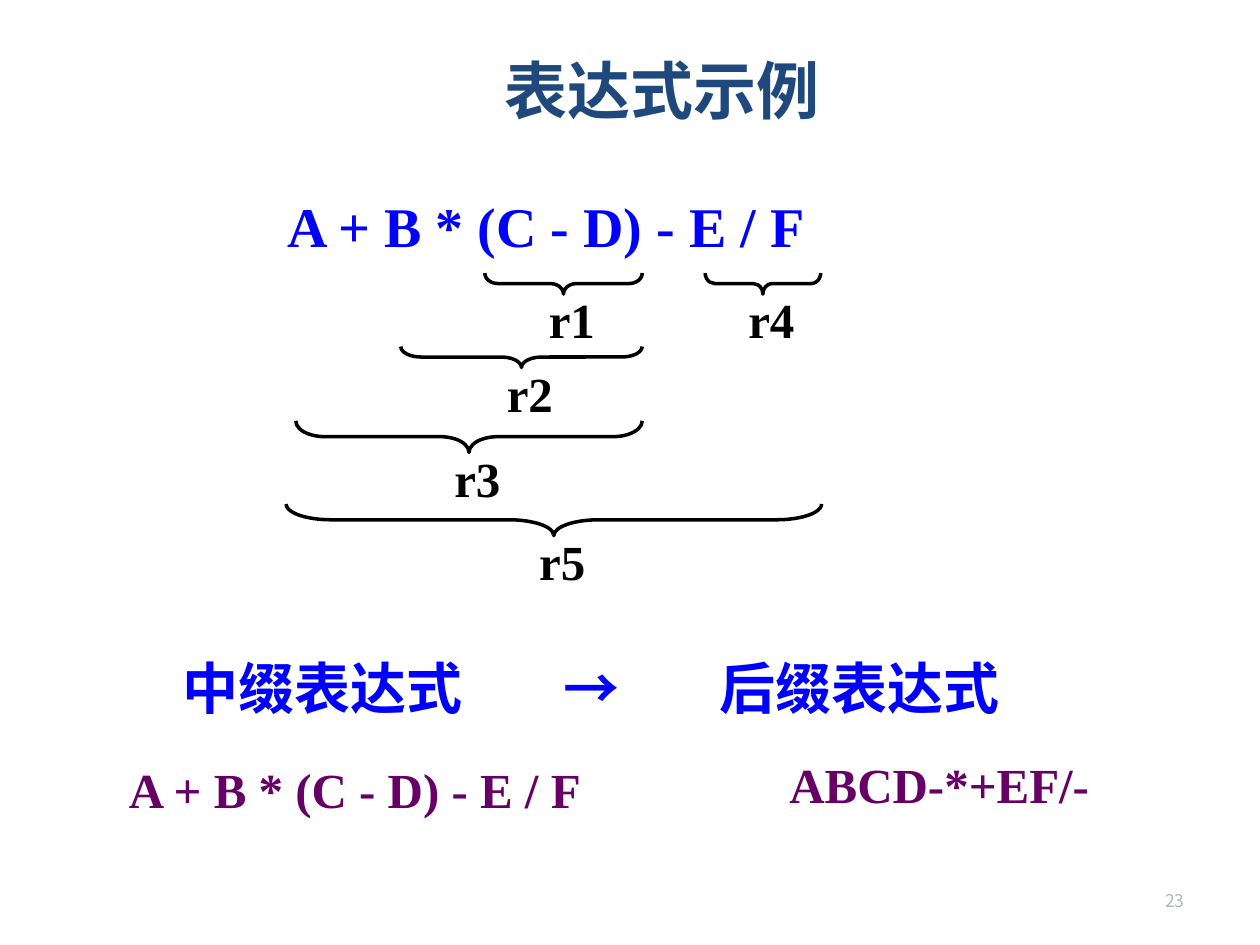
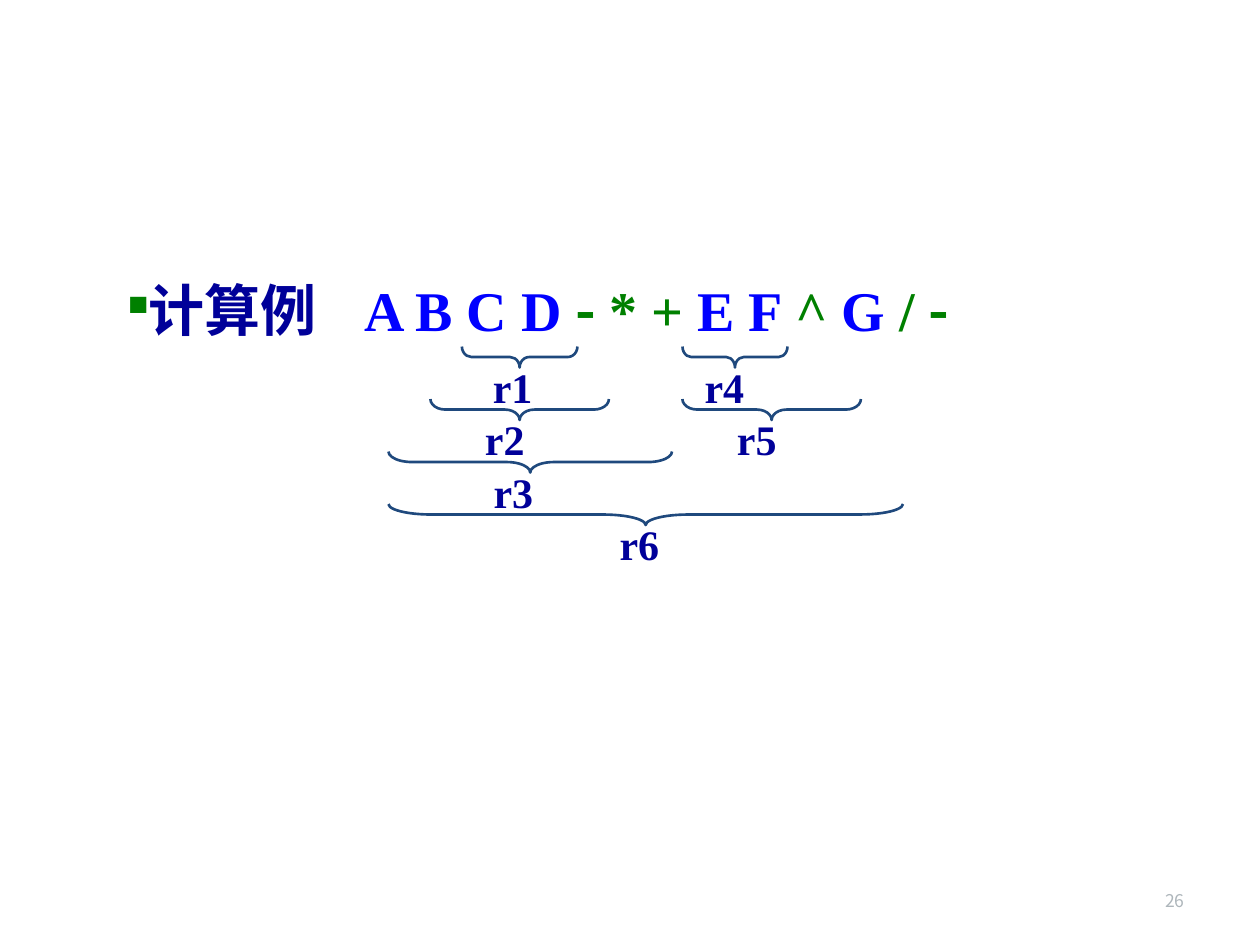
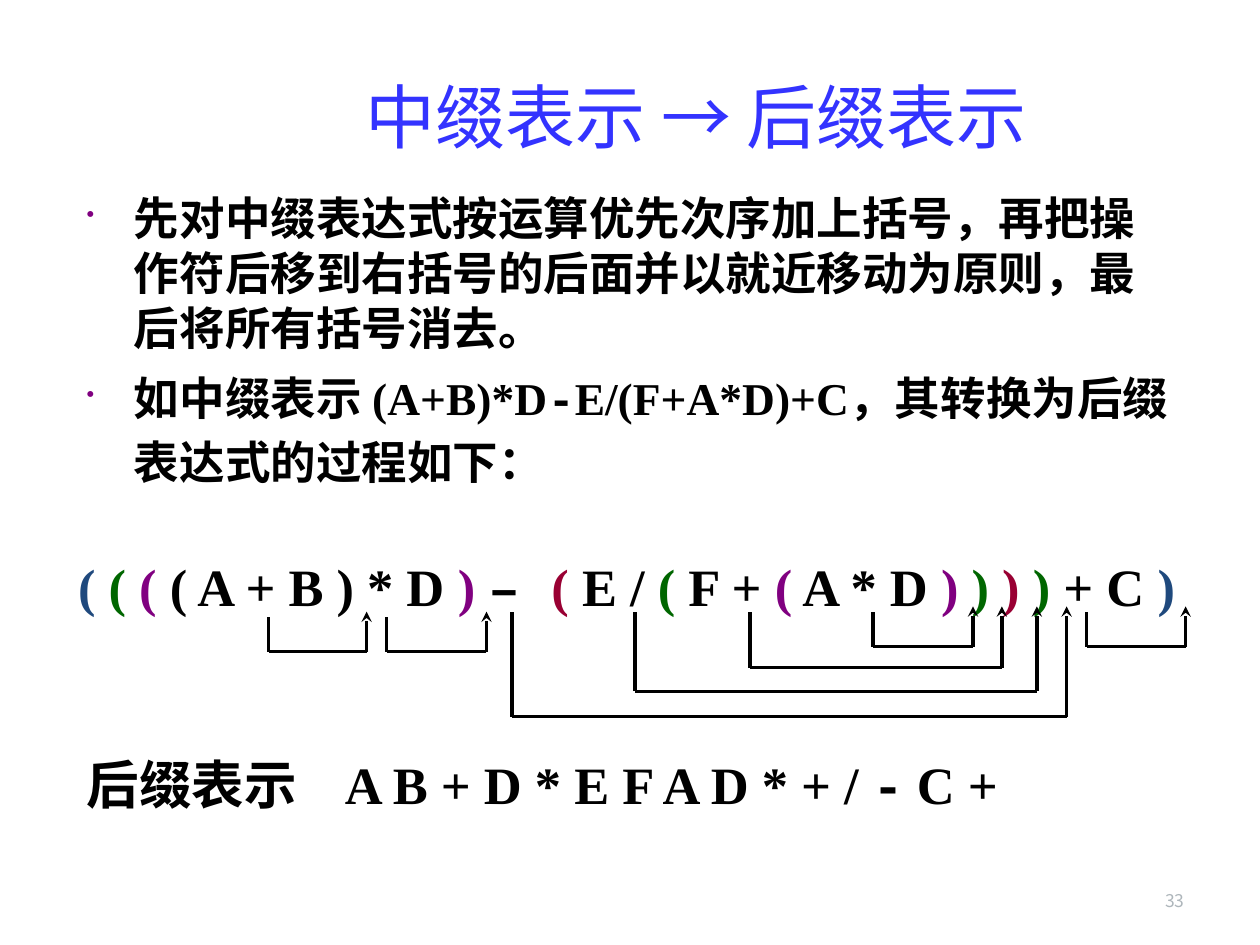
from collections import namedtuple

from lxml.etree import SubElement
from pptx import Presentation
from pptx.dml.color import RGBColor
from pptx.enum.shapes import MSO_CONNECTOR, MSO_SHAPE
from pptx.enum.text import MSO_ANCHOR, MSO_AUTO_SIZE, PP_ALIGN
from pptx.oxml.ns import qn
from pptx.util import Pt

Box = namedtuple("Box", "left top width height")
Style = namedtuple("Style", "line line_width text size gap")

BLACK = RGBColor(0x00, 0x00, 0x00)
NAVY = RGBColor(0x1F, 0x49, 0x7D)
BLUE = RGBColor(0x00, 0x00, 0xFF)
TITLE_BLUE = RGBColor(0x33, 0x33, 0xFF)
DARK_BLUE = RGBColor(0x00, 0x00, 0x99)
PLUM = RGBColor(0x66, 0x00, 0x66)
PURPLE = RGBColor(0x80, 0x00, 0x80)
GREEN = RGBColor(0x00, 0x80, 0x00)
DARK_GREEN = RGBColor(0x00, 0x66, 0x00)
CRIMSON = RGBColor(0x99, 0x00, 0x33)
GREY = RGBColor(0xAE, 0xB6, 0xBB)

SERIF = "Times New Roman"
SANS = "Noto Sans CJK SC"
MONO = "Courier New"
LATIN = "Calibri"

TITLE_ONLY, BLANK = 5, 6
LINE_RATIO = 1.19
PAGE_BOX = Box(516, 500.4, 168, 28.8)


def fill_paragraph(paragraph, runs, size, bold=True):
    """Add runs given as (text, colour, font) to a paragraph."""
    for text, colour, font in runs:
        run = paragraph.add_run()
        run.text = text
        run.font.size = Pt(size)
        run.font.bold = bold
        run.font.name = font
        run.font.color.rgb = colour
        SubElement(run.font._element, qn("a:ea"), typeface=SANS)


def set_bullet(paragraph, character, colour, hanging):
    """Give a paragraph a half-size coloured bullet and a hanging indent."""
    properties = paragraph._p.get_or_add_pPr()
    properties.set("marL", str(Pt(hanging)))
    properties.set("indent", str(-Pt(hanging)))
    bullet_colour = SubElement(properties, qn("a:buClr"))
    SubElement(bullet_colour, qn("a:srgbClr"), val=str(colour))
    SubElement(properties, qn("a:buSzPct"), val="50000")
    SubElement(properties, qn("a:buChar"), char=character)


def set_tabs(paragraph, stops):
    """Set left tab stops, in points."""
    tab_list = SubElement(paragraph._p.get_or_add_pPr(), qn("a:tabLst"))
    for stop in stops:
        SubElement(tab_list, qn("a:tab"), pos=str(Pt(stop)), algn="l")


def add_frame(slide, box):
    """Add a wrapping text box and return its text frame."""
    shape = slide.shapes.add_textbox(*map(Pt, box))
    shape.text_frame.word_wrap = True
    return shape.text_frame


def add_line(slide, box, runs, size):
    """Add one line of bold text and return its paragraph."""
    paragraph = add_frame(slide, box).paragraphs[0]
    paragraph.line_spacing = Pt(round(size * LINE_RATIO, 1))
    fill_paragraph(paragraph, runs, size)
    return paragraph


def add_slide(presentation, layout, number):
    """Add a slide with its page number at the lower right."""
    slide = presentation.slides.add_slide(presentation.slide_layouts[layout])
    frame = add_frame(slide, PAGE_BOX)
    frame.vertical_anchor = MSO_ANCHOR.MIDDLE
    frame.paragraphs[0].alignment = PP_ALIGN.RIGHT
    fill_paragraph(frame.paragraphs[0], [(str(number), GREY, SANS)], 10, False)
    return slide


def set_title(slide, box, runs, size, bold):
    """Move the title placeholder and format its text."""
    title = slide.shapes.title
    title.left, title.top, title.width, title.height = map(Pt, box)
    frame = title.text_frame
    frame.auto_size = MSO_AUTO_SIZE.NONE
    frame.vertical_anchor = MSO_ANCHOR.MIDDLE
    frame.paragraphs[0].alignment = PP_ALIGN.CENTER
    fill_paragraph(frame.paragraphs[0], runs, size, bold)


def add_brace(slide, box, style):
    """Add a brace that spans the box and points down."""
    centre_x, centre_y = box.left + box.width / 2, box.top + box.height / 2
    brace = slide.shapes.add_shape(
        MSO_SHAPE.LEFT_BRACE,
        Pt(centre_x - box.height / 2), Pt(centre_y - box.width / 2),
        Pt(box.height), Pt(box.width))
    brace.rotation = 270
    brace.adjustments[0] = box.width / box.height / 12
    brace.shadow.inherit = False
    brace.fill.background()
    brace.line.color.rgb = style.line
    brace.line.width = Pt(style.line_width)


def add_results(slide, box, results, style):
    """Add labelled braces given as (label, x, y, length, depth, label shift)."""
    for label, x, y, length, depth, shift in results:
        span = Box(box.left + x, box.top + y, length, depth)
        add_brace(slide, span, style)
        label_box = Box(span.left + length / 2 - shift,
                        span.top + depth - style.gap, 49, 36)
        add_line(slide, label_box, [(label, style.text, SERIF)], style.size)


def add_segment(slide, start, end, width, arrow=False):
    """Add a black straight segment, with an arrowhead at its end on request."""
    connector = slide.shapes.add_connector(
        MSO_CONNECTOR.STRAIGHT, *map(Pt, start + end))
    connector.line.color.rgb = BLACK
    connector.line.width = Pt(width)
    properties = connector._element.spPr
    if arrow:
        SubElement(properties.find(qn("a:ln")), qn("a:tailEnd"), type="stealth")
    SubElement(properties, qn("a:effectLst"))


def add_moves(slide, box, moves):
    """Add operator moves given as (start x, end x, tip y, floor y)."""
    for start, end, tip, floor in moves:
        left, right = box.left + start, box.left + end
        top, bottom = box.top + tip, box.top + floor
        add_segment(slide, (left, bottom), (left, top + 3), 2)
        add_segment(slide, (right, bottom), (left, bottom), 1.75)
        add_segment(slide, (right, bottom), (right, top), 2, arrow=True)


def build_expression_slide(presentation):
    """Build the slide that evaluates an infix expression step by step."""
    slide = add_slide(presentation, TITLE_ONLY, 23)
    set_title(slide, Box(114, 24, 528, 54), [("表达式示例", NAVY, SANS)], 36, True)
    infix = "A + B * (C - D) - E / F"
    add_line(slide, Box(157, 106, 340, 44), [(infix, BLUE, SERIF)], 32)
    results = [
        ("r1", 113.5, 0, 90, 12, 15.5),
        ("r4", 239.5, 0, 66, 12, 15.5),
        ("r2", 65.5, 42, 138, 12, 15.5),
        ("r3", 5.5, 84.5, 198, 18, 15.5),
        ("r5", 0, 132, 306, 18, 15.5),
    ]
    add_results(slide, Box(163.5, 156, 306, 150), results,
                Style(BLACK, 2, BLACK, 28, 5.5))
    heading = add_line(slide, Box(97, 370, 560, 46),
                       [("中缀表达式\t→\t后缀表达式", BLUE, SERIF)], 32)
    set_tabs(heading, (218, 307))
    add_line(slide, Box(66.5, 431, 300, 40), [(infix, PLUM, SERIF)], 28)
    add_line(slide, Box(444, 428, 210, 40), [("ABCD-*+EF/-", PLUM, SERIF)], 28)


def build_calculation_slide(presentation):
    """Build the slide that evaluates a postfix expression step by step."""
    slide = add_slide(presentation, BLANK, 26)
    results = [
        ("r1", 42, 0, 66, 12, 22.5),
        ("r2", 24, 30, 102, 12, 27),
        ("r3", 0, 60, 162, 12, 28),
        ("r4", 168, 0, 60, 12, 24.5),
        ("r5", 168, 30, 102, 12, 27),
        ("r6", 0, 90, 294, 12, 22),
    ]
    add_results(slide, Box(222, 198, 294, 102), results,
                Style(NAVY, 1.5, DARK_BLUE, 24, 7))
    postfix = [
        ("计算例\t", DARK_BLUE, SANS), ("A B C D ", BLUE, SERIF),
        ("- ", GREEN, SANS), ("* +", GREEN, SERIF), (" E F ", BLUE, SERIF),
        ("^", GREEN, SERIF), (" G ", BLUE, SERIF), ("/ ", GREEN, SERIF),
        ("-", GREEN, SANS),
    ]
    example = add_line(slide, Box(66, 154, 540, 46), postfix, 32)
    set_bullet(example, "■", GREEN, 0)
    set_tabs(example, (135,))


def add_rules(slide, box):
    """Add the bulleted rules for turning infix into postfix."""
    frame = add_frame(slide, box)
    rules = [
        ([("先对中缀表达式按运算优先次序加上括号，再把操作符后移到右括号的后面"
           "并以就近移动为原则，最后将所有括号消去。", BLACK, SANS)], 31.4, 0),
        ([("如中缀表示 ", BLACK, SANS), ("(A+B)*D", BLACK, SERIF),
          ("-", BLACK, MONO), ("E/(F+A*D)+C", BLACK, SERIF),
          ("，其转换为后缀表达式的过程如下：", BLACK, SANS)], 36.6, 3.4),
    ]
    for index, (runs, spacing, before) in enumerate(rules):
        paragraph = frame.add_paragraph() if index else frame.paragraphs[0]
        paragraph.line_spacing = Pt(spacing)
        paragraph.space_before = Pt(before)
        set_bullet(paragraph, "•", PURPLE, 27)
        fill_paragraph(paragraph, runs, 26)


def build_conversion_slide(presentation):
    """Build the slide that converts infix to postfix by moving operators."""
    slide = add_slide(presentation, TITLE_ONLY, 33)
    title = [("中缀表示 ", TITLE_BLUE, LATIN), ("→ ", TITLE_BLUE, MONO),
             ("后缀表示", TITLE_BLUE, LATIN)]
    set_title(slide, Box(75.5, 37.5, 644.5, 57.5), title, 40, False)
    add_rules(slide, Box(42.5, 105, 633.5, 204))
    parts = [
        ("( ", NAVY), ("( ", DARK_GREEN), ("(", PURPLE),
        (" ( A + B ) * D ", BLACK), (") ", PURPLE), ("– ", BLACK),
        ("(", CRIMSON), (" E / ", BLACK), ("(", DARK_GREEN), (" F + ", BLACK),
        ("(", PURPLE), (" A * D ", BLACK), (") ", PURPLE),
        (") ", DARK_GREEN), (") ", CRIMSON), (")", DARK_GREEN),
        (" + C ", BLACK), (")", NAVY),
    ]
    runs = [(text, colour, MONO if text == "– " else SERIF)
            for text, colour in parts]
    add_line(slide, Box(37.5, 313.5, 675, 43), runs, 30)
    moves = [
        (0, 56, 3, 26), (67.5, 124.5, 3, 26), (345.5, 402.5, 0, 23),
        (275, 419, 0, 35), (209.5, 439, 0, 48.5), (139, 456, 0, 63),
        (467.5, 524, 0, 23),
    ]
    add_moves(slide, Box(153.5, 346.5, 524, 63), moves)
    postfix = [("后缀表示\tA B + D * E F A D * + / ", BLACK, SERIF),
               ("-", BLACK, MONO), (" C +", BLACK, SERIF)]
    result = add_line(slide, Box(42.5, 426.5, 570, 43), postfix, 30)
    set_tabs(result, (147.5,))


def main():
    """Build the three slides and save them."""
    presentation = Presentation()
    presentation.slide_width, presentation.slide_height = Pt(720), Pt(540)
    build_expression_slide(presentation)
    build_calculation_slide(presentation)
    build_conversion_slide(presentation)
    presentation.save("out.pptx")


if __name__ == "__main__":
    main()
